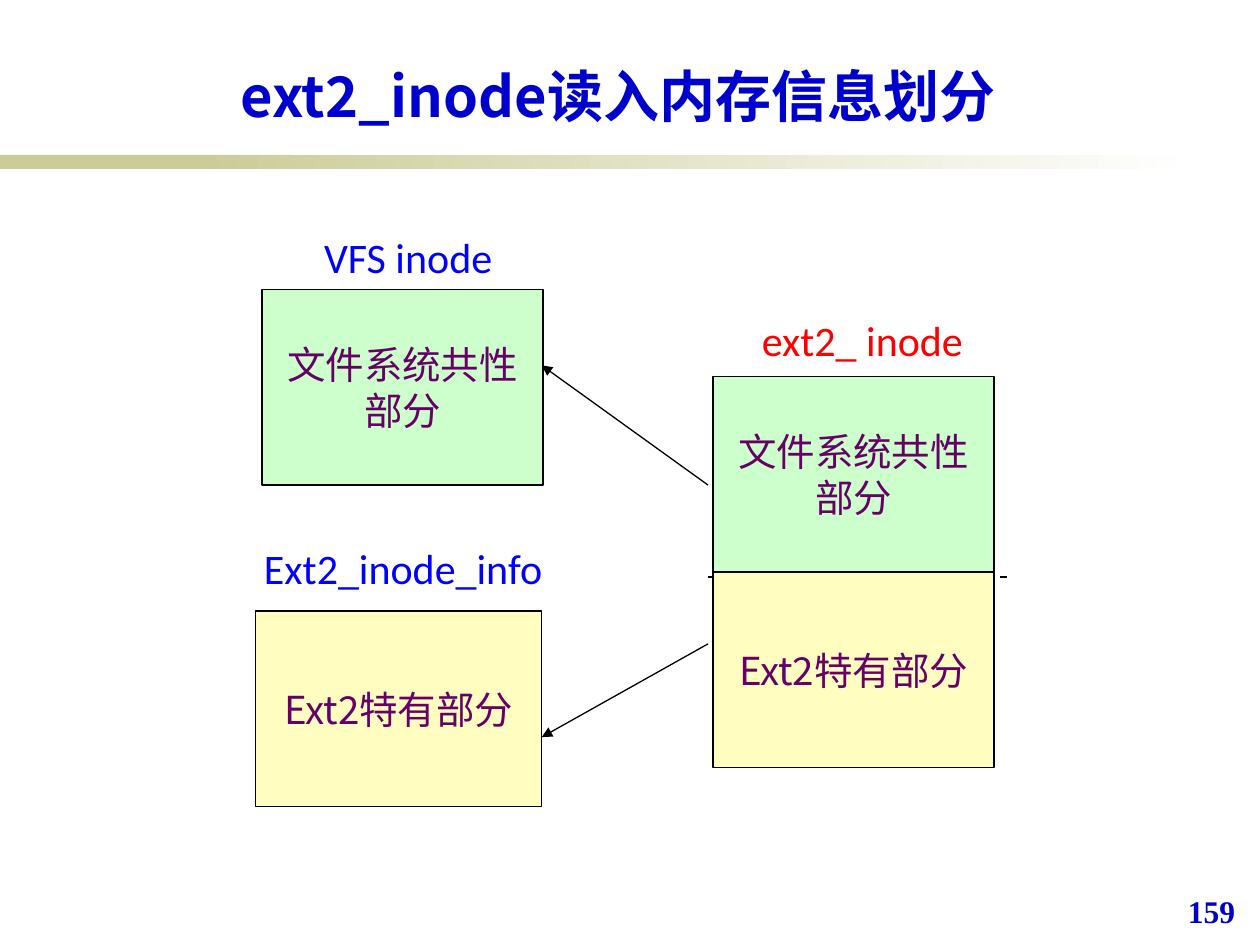
from lxml import etree
from pptx import Presentation
from pptx.dml.color import RGBColor
from pptx.enum.dml import MSO_LINE
from pptx.enum.shapes import MSO_CONNECTOR, MSO_SHAPE
from pptx.enum.text import MSO_ANCHOR, PP_ALIGN
from pptx.oxml.ns import qn
from pptx.util import Inches, Pt

RECT = MSO_SHAPE.RECTANGLE
STRAIGHT = MSO_CONNECTOR.STRAIGHT
DASH = MSO_LINE.DASH
MIDDLE, BOTTOM = MSO_ANCHOR.MIDDLE, MSO_ANCHOR.BOTTOM
LEFT, CENTER = PP_ALIGN.LEFT, PP_ALIGN.CENTER

THEME = {
    "cjk": "Noto Sans CJK JP", "latin": "Calibri", "number": "Times New Roman",
    "title_size": 32, "label_size": 24, "box_size": 22, "number_size": 18,
    "navy": "0000CC", "blue": "0000FF", "red": "FF0000", "purple": "660066",
    "green": "CCFFCC", "yellow": "FFFEC0", "khaki": "CCCC99",
    "white": "FFFFFF", "black": "000000",
}


def color(name):
    return RGBColor.from_string(THEME[name])


def write(sp, text, font, size, ink, anchor=MIDDLE, align=CENTER, bold=False):
    tf = sp.text_frame
    tf.word_wrap = True
    tf.vertical_anchor = anchor
    p = tf.paragraphs[0]
    p.text = text
    p.alignment = align
    p.font.size = Pt(THEME[size])
    p.font.bold = bold
    p.font.color.rgb = color(ink)
    p.font.name = THEME[font]
    ea = etree.SubElement(p._p.pPr.find(qn("a:defRPr")), qn("a:ea"))
    ea.set("typeface", THEME["cjk"])


prs = Presentation()
prs.slide_width, prs.slide_height = Inches(10), Inches(7.5)
s = prs.slides.add_slide(prs.slide_layouts[5])

for x, w in [(0, 2.33), (1.58, 7.92)]:
    sp = s.shapes.add_shape(RECT, Inches(x), Inches(1.23), Inches(w), Inches(0.11))
    sp.shadow.inherit = False
    sp.line.fill.background()
    if x == 0:
        sp.fill.solid()
        sp.fill.fore_color.rgb = color("khaki")
    else:
        sp.fill.gradient()
        sp.fill.gradient_angle = 0
        for stop, name in zip(sp.fill.gradient_stops, ["khaki", "white"]):
            stop.color.rgb = color(name)

title = s.shapes.title
title.left, title.top = Inches(0.88), Inches(0.44)
title.width, title.height = Inches(8.05), Inches(0.63)
write(title, "ext2_inode读入内存信息划分", "cjk", "title_size", "navy", BOTTOM, bold=True)

labels = [
    ("ext2_ inode", 5.62, 2.38, 2.45, 0.63, "red"),
    ("Ext2_inode_info", 1.98, 4.27, 2.44, 0.47, "blue"),
    ("VFS inode", 2.05, 1.78, 2.38, 0.52, "blue"),
]
for text, x, y, w, h, ink in labels:
    sp = s.shapes.add_textbox(Inches(x), Inches(y), Inches(w), Inches(h))
    write(sp, text, "latin", "label_size", ink)

lines = [
    (5.62, 4.58, 7.99, 4.58, True),
    (5.62, 3.85, 4.3, 2.9, False),
    (5.62, 5.11, 4.3, 5.85, False),
]
for x1, y1, x2, y2, divider in lines:
    cx = s.shapes.add_connector(STRAIGHT, Inches(x1), Inches(y1), Inches(x2), Inches(y2))
    cx.line.color.rgb = color("black")
    cx.line.width = Pt(1 if divider else 0.75)
    if divider:
        cx.line.dash_style = DASH
    else:
        etree.SubElement(cx.line._get_or_add_ln(), qn("a:tailEnd")).set("type", "triangle")
    etree.SubElement(cx._element.spPr, qn("a:effectLst"))

common, specific = ("文件系统共性部分", "green"), ("Ext2特有部分", "yellow")
boxes = [
    (common, 2.08, 2.3, 2.23),
    (specific, 2.03, 4.85, 2.27),
    (common, 5.66, 2.99, 2.23),
    (specific, 5.66, 4.54, 2.23),
]
for (text, fill), x, y, w in boxes:
    sp = s.shapes.add_shape(RECT, Inches(x), Inches(y), Inches(w), Inches(1.55))
    sp.shadow.inherit = False
    sp.fill.solid()
    sp.fill.fore_color.rgb = color(fill)
    sp.line.color.rgb = color("black")
    sp.line.width = Pt(0.75)
    write(sp, text, "cjk", "box_size", "purple")

number = s.shapes.add_textbox(Inches(9.33), Inches(7.03), Inches(0.64), Inches(0.5))
write(number, "159", "number", "number_size", "navy", MSO_ANCHOR.TOP, LEFT, True)

prs.save("out.pptx")
